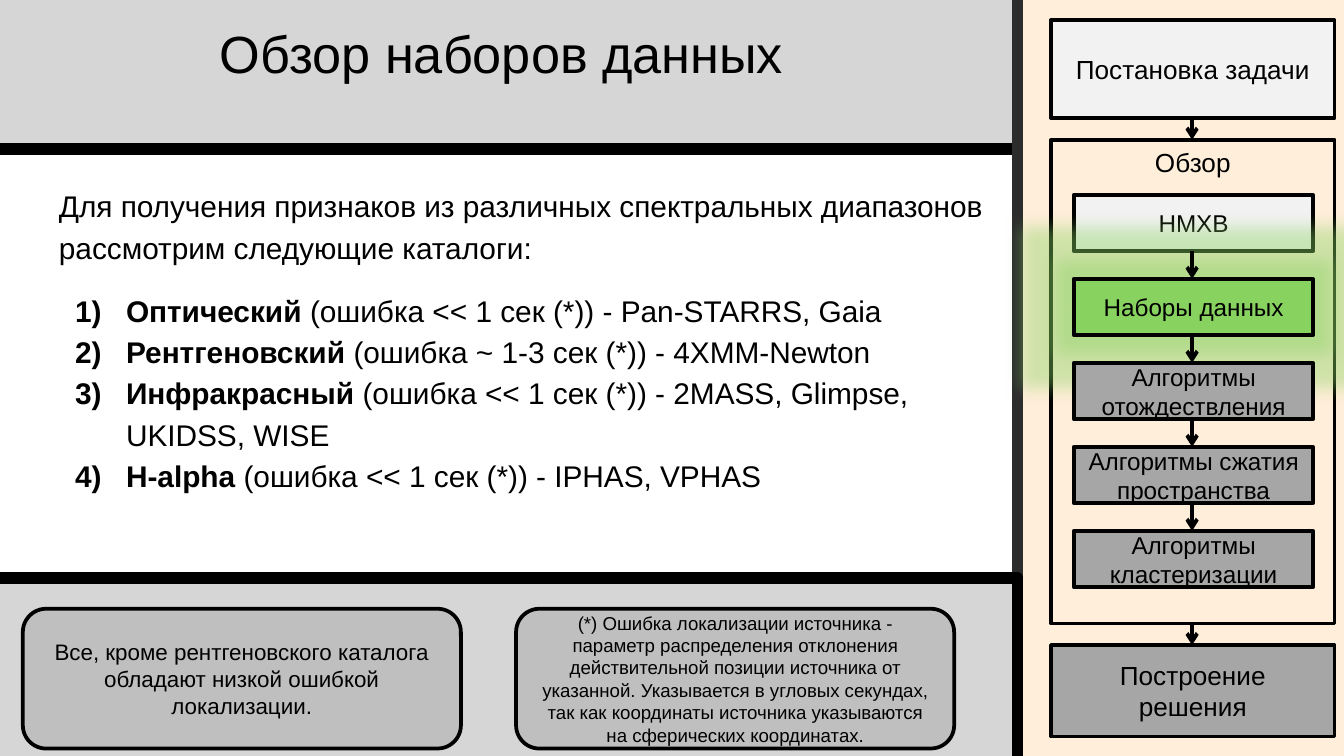
from lxml import etree
from pptx import Presentation
from pptx.dml.color import RGBColor
from pptx.enum.shapes import MSO_CONNECTOR, MSO_SHAPE
from pptx.enum.text import MSO_ANCHOR, PP_ALIGN
from pptx.oxml.ns import qn
from pptx.util import Inches, Pt

RECT = MSO_SHAPE.RECTANGLE
ROUNDED = MSO_SHAPE.ROUNDED_RECTANGLE
STRAIGHT = MSO_CONNECTOR.STRAIGHT
CENTER = PP_ALIGN.CENTER
LEFT = PP_ALIGN.LEFT
TOP = MSO_ANCHOR.TOP
MIDDLE = MSO_ANCHOR.MIDDLE

BLACK = RGBColor(0x00, 0x00, 0x00)
CHARCOAL = RGBColor(0x2C, 0x2C, 0x2C)
PANEL_GRAY = RGBColor(0xD6, 0xD6, 0xD6)
NOTE_GRAY = RGBColor(0xBF, 0xBF, 0xBF)
PENDING_GRAY = RGBColor(0xA6, 0xA6, 0xA6)
DONE_GRAY = RGBColor(0xF2, 0xF2, 0xF2)
CURRENT_GREEN = RGBColor(0x88, 0xD2, 0x60)
CREAM = RGBColor(0xFF, 0xEE, 0xD9)

FONT = "Arial"
STAGE_LEFT, STAGE_WIDTH = 7.82, 2.11
STEP_LEFT, STEP_WIDTH, STEP_HEIGHT = 7.99, 1.78, 0.42
STEP_TOP, STEP_PITCH = 1.45, 2.5 / 4
ARROW_X = 8.87

STEPS = [
    ("HMXB", DONE_GRAY),
    ("Наборы данных", CURRENT_GREEN),
    ("Алгоритмы отождествления", PENDING_GRAY),
    ("Алгоритмы сжатия пространства", PENDING_GRAY),
    ("Алгоритмы кластеризации", PENDING_GRAY),
]
INTRO = ("Для получения признаков из различных спектральных диапазонов "
         "рассмотрим следующие каталоги:")
CATALOGS = [
    ("Оптический ", "(ошибка << 1 сек (*)) - Pan-STARRS, Gaia"),
    ("Рентгеновский ", "(ошибка ~ 1-3 сек (*)) - 4XMM-Newton"),
    ("Инфракрасный ", "(ошибка << 1 сек (*)) - 2MASS, Glimpse, UKIDSS, WISE"),
    ("H-alpha", " (ошибка << 1 сек (*)) - IPHAS, VPHAS"),
]
NOTES = [
    ("Все, кроме рентгеновского каталога обладают низкой ошибкой локализации.", 12),
    ("(*) Ошибка локализации источника - параметр распределения отклонения "
     "действительной позиции источника от указанной. Указывается в угловых "
     "секундах, так как координаты источника указываются на сферических "
     "координатах.", 10),
]


def style_para(para, size, align):
    para.alignment = align
    para.font.name = FONT
    para.font.size = Pt(size)
    para.font.color.rgb = BLACK


def add_box(page, area, fill, text="", size=14, kind=RECT, line=BLACK,
            weight=2, anchor=MIDDLE):
    box = page.shapes.add_shape(kind, *map(Inches, area))
    box.shadow.inherit = False
    box.fill.solid()
    box.fill.fore_color.rgb = fill
    box.line.color.rgb = line
    box.line.width = Pt(weight)
    if text:
        frame = box.text_frame
        frame.word_wrap = True
        frame.vertical_anchor = anchor
        frame.text = text
        style_para(frame.paragraphs[0], size, CENTER)
    return box


def add_glow(box, color, radius, alpha):
    effects = box._element.spPr.find(qn("a:effectLst"))
    glow = etree.SubElement(effects, qn("a:glow"), rad=str(Inches(radius)))
    tint = etree.SubElement(glow, qn("a:srgbClr"), val=str(color))
    etree.SubElement(tint, qn("a:alpha"), val=str(alpha * 1000))


def add_arrow(page, top, bottom):
    arrow = page.shapes.add_connector(
        STRAIGHT, Inches(ARROW_X), Inches(top), Inches(ARROW_X), Inches(bottom))
    arrow.line.color.rgb = BLACK
    arrow.line.width = Pt(2)
    etree.SubElement(arrow.line._get_or_add_ln(), qn("a:tailEnd"), type="arrow")
    etree.SubElement(arrow._element.spPr, qn("a:effectLst"))


def add_text_frame(page, area):
    frame = page.shapes.add_textbox(*map(Inches, area)).text_frame
    frame.word_wrap = True
    frame.vertical_anchor = TOP
    frame.margin_top = frame.margin_bottom = Inches(0.1)
    return frame


def add_number(para):
    props = para._p.get_or_add_pPr()
    props.set("marL", str(Inches(0.5)))
    props.set("indent", str(Inches(-0.38)))
    color = etree.SubElement(props, qn("a:buClr"))
    etree.SubElement(color, qn("a:srgbClr"), val=str(BLACK))
    etree.SubElement(props, qn("a:buFont"), typeface=FONT)
    etree.SubElement(props, qn("a:buAutoNum"), type="arabicParenR")


def add_title(page):
    frame = add_text_frame(page, (0, 0.06, 7.57, 1.05))
    frame.text = "Обзор наборов данных "
    style_para(frame.paragraphs[0], 28, CENTER)


def add_catalogs(page):
    frame = add_text_frame(page, (0.34, 1.26, 7.1, 2.82))
    intro = frame.paragraphs[0]
    intro.text = INTRO
    intro.line_spacing = 1.15
    style_para(intro, 16, LEFT)
    for index, (name, details) in enumerate(CATALOGS):
        para = frame.add_paragraph()
        add_number(para)
        para.line_spacing = 1.15
        para.space_before = Pt(0 if index else 12)
        style_para(para, 16, LEFT)
        for text, bold in ((name, True), (details, False)):
            span = para.add_run()
            span.text = text
            span.font.bold = bold


def add_roadmap(page):
    add_box(page, (7.57, -0.1, 2.54, 5.86), CREAM, line=CHARCOAL, weight=6)
    add_box(page, (STAGE_LEFT, 1.04, STAGE_WIDTH, 3.6), CREAM, "Обзор", anchor=TOP)
    add_box(page, (STAGE_LEFT, 0.15, STAGE_WIDTH, 0.73), DONE_GRAY, "Постановка задачи")
    add_box(page, (STAGE_LEFT, 4.8, STAGE_WIDTH, 0.68), PENDING_GRAY, "Построение решения")
    for index, (text, fill) in enumerate(STEPS):
        top = STEP_TOP + index * STEP_PITCH
        box = add_box(page, (STEP_LEFT, top, STEP_WIDTH, STEP_HEIGHT), fill, text, 13)
        if fill == CURRENT_GREEN:
            add_glow(box, CURRENT_GREEN, 0.25, 40)
    add_arrow(page, 0.89, 1.04)
    add_arrow(page, 4.65, 4.8)
    for index in range(len(STEPS) - 1):
        top = STEP_TOP + index * STEP_PITCH
        add_arrow(page, top + STEP_HEIGHT, top + STEP_PITCH)


def add_notes_band(page):
    add_box(page, (-0.14, 4.3, 7.71, 1.91), PANEL_GRAY, weight=6)
    for index, (text, size) in enumerate(NOTES):
        add_box(page, (0.17 + index * 3.67, 4.53, 3.26, 1.04), NOTE_GRAY,
                text, size, ROUNDED)


def main():
    deck = Presentation()
    deck.slide_width = Inches(10)
    deck.slide_height = Inches(10 * 9 / 16)
    page = deck.slides.add_slide(deck.slide_layouts[6])
    add_box(page, (-0.14, -0.62, 7.71, 1.73), PANEL_GRAY, weight=6)
    add_title(page)
    add_catalogs(page)
    add_roadmap(page)
    add_notes_band(page)
    deck.save("out.pptx")


if __name__ == "__main__":
    main()
